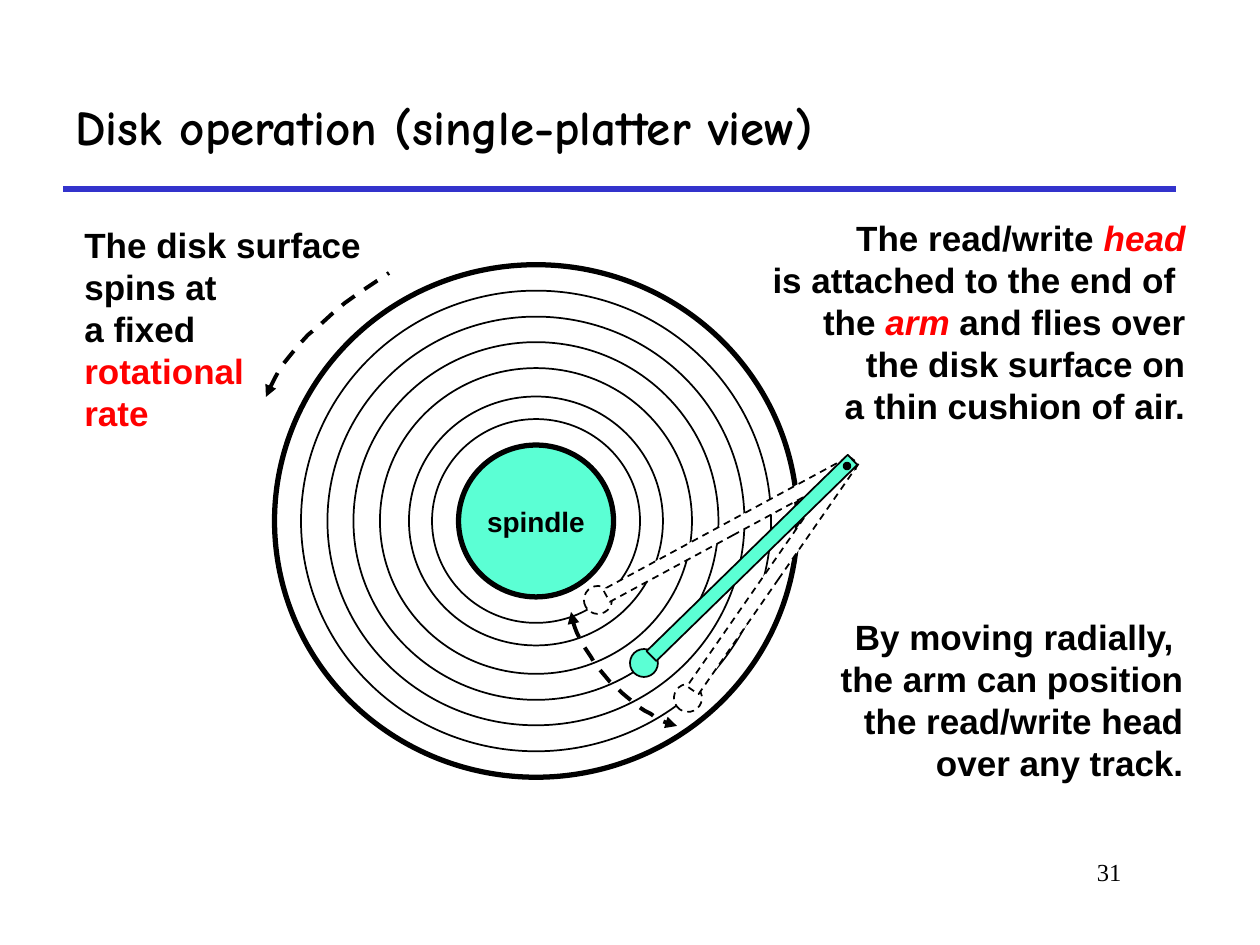
"""Build the disk operation slide with its platter, arms and notes."""
from dataclasses import dataclass
from typing import Any

import lxml.etree
import pptx
import pptx.dml.color
import pptx.enum.dml
import pptx.enum.shapes
import pptx.enum.text
import pptx.oxml.ns
import pptx.util

Color = pptx.dml.color.RGBColor
Kind = pptx.enum.shapes.MSO_SHAPE
Align = pptx.enum.text.PP_ALIGN
Anchor = pptx.enum.text.MSO_ANCHOR
Fit = pptx.enum.text.MSO_AUTO_SIZE
DASH = pptx.enum.dml.MSO_LINE.DASH

BLACK = Color(0x00, 0x00, 0x00)
WHITE = Color(0xFF, 0xFF, 0xFF)
RED = Color(0xFF, 0x00, 0x00)
BLUE = Color(0x33, 0x33, 0xCC)
MINT = Color(0x5B, 0xFF, 0xD4)

SCALE = 914400 / 126
HUB = (536, 521)
RATIO = 0.98
STEPS = 12
ARM = (281, 14)
HEAD = (28, 28)


@dataclass
class Run:
    text: str
    color: Color = BLACK
    slant: bool = False


@dataclass
class Note:
    box: tuple[int, int, int, int]
    paras: list[list[Run]]
    align: Any = Align.LEFT
    size: int = 20
    font: str = "Arial"
    bold: bool = True
    wrap: bool = True
    anchor: Any = Anchor.TOP
    fit: Any = Fit.NONE


@dataclass
class Ring:
    width: int
    weight: int = 1
    fill: Color | None = None


@dataclass
class Arm:
    angle: float
    mid: tuple[int, int]
    tip: tuple[int, int]
    fill: Color = WHITE
    dash: Any = DASH


@dataclass
class Sweep:
    points: list[tuple[int, int]]
    ends: tuple[str, ...]


NOTES = [
    Note((955, 851, 179, 63), [[Run("31")]], Align.RIGHT, 14,
         "Times New Roman", False),
    Note((63, 63, 1113, 126), [[Run("Disk operation (single-platter view)")]],
         size=28, font="Comic Neue", anchor=Anchor.MIDDLE),
    Note((790, 609, 406, 180),
         [[Run("By moving radially, \vthe arm can position the read/write head "
               "over any track.")]], Align.RIGHT, fit=Fit.SHAPE_TO_FIT_TEXT),
    Note((72, 217, 316, 222),
         [[Run("The disk surface")], [Run("spins at \va fixed")],
          [Run("rotational \vrate", RED)]], fit=Fit.SHAPE_TO_FIT_TEXT),
    Note((760, 210, 438, 222),
         [[Run("The read/write "), Run("head", RED, True)],
          [Run("is attached to the end of \vthe "), Run("arm ", RED, True),
           Run("and flies over")],
          [Run("the disk surface on")], [Run("a thin cushion of air.")]],
         Align.RIGHT, wrap=False, fit=Fit.SHAPE_TO_FIT_TEXT),
]
LABEL = Note((0, 0, 0, 0), [[Run("spindle")]], Align.CENTER, 16, wrap=False,
             anchor=Anchor.MIDDLE)
RINGS = [Ring(254, fill=WHITE), Ring(523, 3), Ring(470), Ring(417), Ring(365),
         Ring(312), Ring(208)]
SPINDLE = Ring(155, 3, MINT)
SWEEPS = [
    Sweep([(266, 397), (278, 360), (326, 311), (389, 273)], ("headEnd",)),
    Sweep([(571, 612), (573, 631), (588, 658), (610, 682), (633, 704),
           (658, 722), (677, 726)], ("headEnd", "tailEnd")),
]
ARMS = [
    Arm(331.6, (730, 529), (598, 600)),
    Arm(304.8, (773, 575), (688, 698)),
    Arm(315.7, (752, 558), (644, 663), MINT, None),
]


def px(count: float) -> int:
    """Turn px into EMU."""
    return round(count * SCALE)


def write(frame: Any, note: Note) -> None:
    """Fill a text frame from a note."""
    form = {"word_wrap": note.wrap, "vertical_anchor": note.anchor,
            "auto_size": note.fit}
    for key, value in form.items():
        setattr(frame, key, value)
    for rank, runs in enumerate(note.paras):
        para = frame.add_paragraph() if rank else frame.paragraphs[0]
        para.alignment = note.align
        for item in runs:
            for place, piece in enumerate(item.text.split("\v")):
                if place:
                    para.add_line_break()
                run = para.add_run()
                run.text = piece
                style = {"name": note.font, "size": pptx.util.Pt(note.size),
                         "bold": note.bold, "italic": item.slant}
                for key, value in style.items():
                    setattr(run.font, key, value)
                run.font.color.rgb = item.color


def paint(shape: Any, fill: Color | None, weight: float, dash: Any = None) -> None:
    """Set the fill and black line of a shape."""
    shape.shadow.inherit = False
    if fill is None:
        shape.fill.background()
    else:
        shape.fill.solid()
        shape.fill.fore_color.rgb = fill
    shape.line.color.rgb = BLACK
    for key, value in {"width": pptx.util.Pt(weight), "dash_style": dash}.items():
        setattr(shape.line, key, value)


def place(shapes: Any, kind: Any, mid: tuple[int, int],
          size: tuple[float, float]) -> Any:
    """Add a preset shape around its centre."""
    wide, high = size
    return shapes.add_shape(kind, px(mid[0] - wide / 2), px(mid[1] - high / 2),
                            px(wide), px(high))


def draw_ring(shapes: Any, ring: Ring) -> Any:
    """Draw one circle around the hub."""
    shape = place(shapes, Kind.OVAL, HUB, (ring.width, ring.width * RATIO))
    paint(shape, ring.fill, ring.weight)
    return shape


def draw_arm(shapes: Any, arm: Arm) -> None:
    """Draw a read/write head and its arm."""
    for kind, mid, size in ((Kind.OVAL, arm.tip, HEAD),
                            (Kind.RECTANGLE, arm.mid, ARM)):
        shape = place(shapes, kind, mid, size)
        shape.rotation = arm.angle
        paint(shape, arm.fill, 1, arm.dash)


def curve(points: list[tuple[int, int]]) -> list[tuple[float, float]]:
    """Sample a chain of cubic curves."""
    trail = []
    for start in range(0, len(points) - 1, 3):
        a, b, c, d = points[start:start + 4]
        for step in range(1, STEPS + 1):
            t = step / STEPS
            u = 1 - t
            trail.append(tuple(u**3 * p + 3 * u * u * t * q + 3 * u * t * t * r
                               + t**3 * s for p, q, r, s in zip(a, b, c, d)))
    return trail


def draw_sweep(shapes: Any, sweep: Sweep) -> None:
    """Draw a dashed curved arrow."""
    first = sweep.points[0]
    pen = shapes.build_freeform(*first, scale=SCALE)
    pen.add_line_segments(curve(sweep.points), close=False)
    shape = pen.convert_to_shape()
    paint(shape, None, 2.25, DASH)
    line = shape.line._get_or_add_ln()
    for end in sweep.ends:
        lxml.etree.SubElement(line, pptx.oxml.ns.qn(f"a:{end}"), type="triangle")


def main() -> None:
    """Build and save the slide."""
    deck = pptx.Presentation()
    deck.slide_width, deck.slide_height = px(1260), px(945)
    shapes = deck.slides.add_slide(deck.slide_layouts[6]).shapes
    rule = shapes.add_connector(pptx.enum.shapes.MSO_CONNECTOR.STRAIGHT,
                                px(63), px(189), px(1176), px(189))
    rule.line.color.rgb = BLUE
    rule.line.width = pptx.util.Pt(3)
    lxml.etree.SubElement(rule._element.spPr, pptx.oxml.ns.qn("a:effectLst"))
    for ring in RINGS:
        draw_ring(shapes, ring)
    write(draw_ring(shapes, SPINDLE).text_frame, LABEL)
    for note in NOTES:
        write(shapes.add_textbox(*map(px, note.box)).text_frame, note)
    for sweep in SWEEPS:
        draw_sweep(shapes, sweep)
    for arm in ARMS:
        draw_arm(shapes, arm)
    paint(place(shapes, Kind.OVAL, (847, 466), (5, 5)), BLACK, 2)
    deck.save("out.pptx")


if __name__ == "__main__":
    main()
